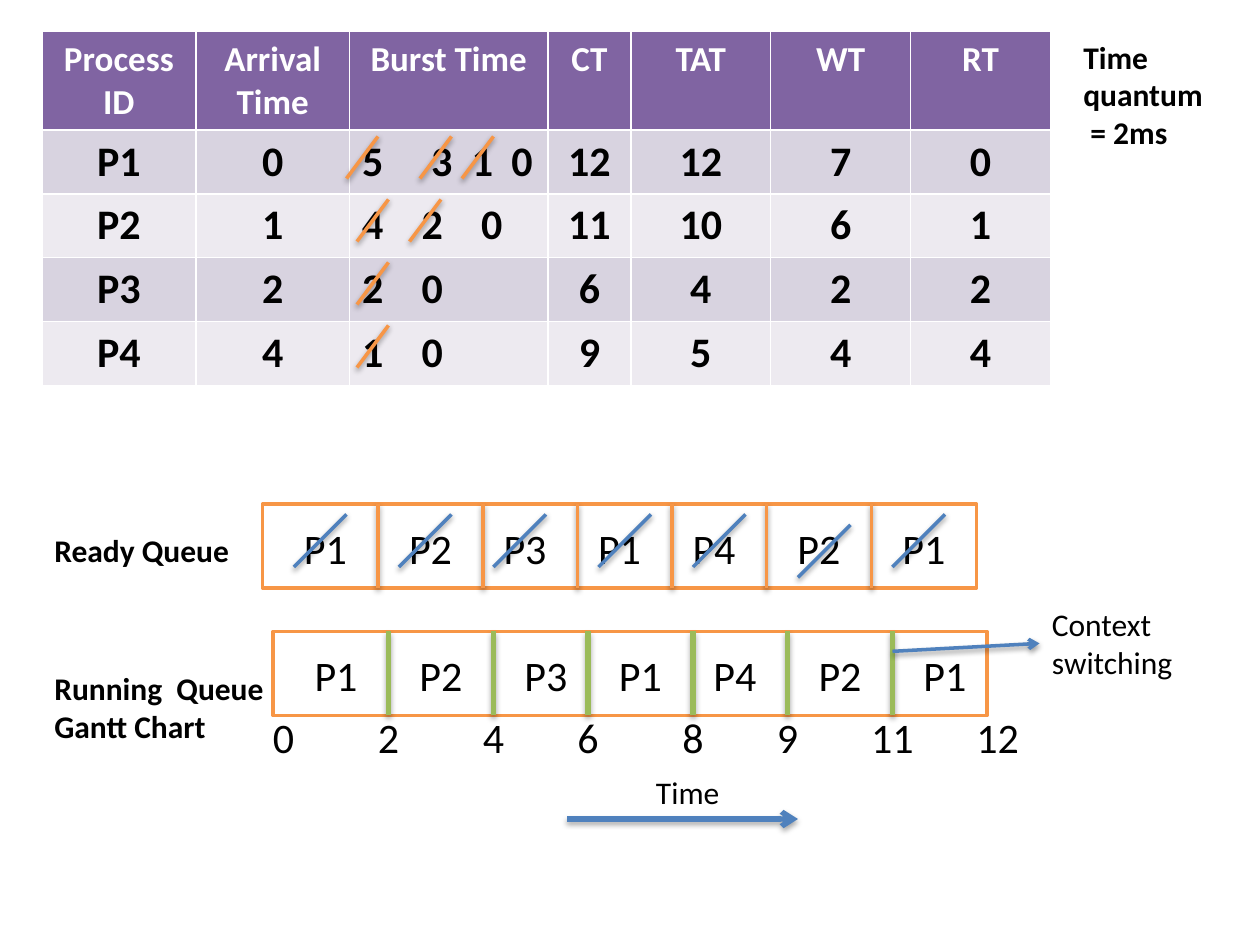
import pptx
import pptx.dml.color
import pptx.enum.dml
import pptx.enum.shapes
import pptx.enum.text
import pptx.oxml
import pptx.oxml.ns
import pptx.util
from lxml import etree

Cm, Pt = pptx.util.Cm, pptx.util.Pt
RGBColor = pptx.dml.color.RGBColor
CENTER = pptx.enum.text.PP_ALIGN.CENTER
LEFT = pptx.enum.text.PP_ALIGN.LEFT

WHITE = RGBColor(0xFF, 0xFF, 0xFF)
BLACK = RGBColor(0, 0, 0)
PURPLE = RGBColor(0x80, 0x64, 0xA2)
BANDS = (RGBColor(0xD8, 0xD3, 0xE0), RGBColor(0xED, 0xEA, 0xF0))
ORANGE = RGBColor(0xF7, 0x96, 0x46)
GREEN = RGBColor(0x9B, 0xBB, 0x59)
BLUE = RGBColor(0x4F, 0x81, 0xBD)
FONT = "Calibri"

HEADERS = ["Process ID", "Arrival Time", "Burst Time", "CT", "TAT", "WT", "RT"]
PROCESSES = [
    ["P1", "0", "5\t3\t1\t0", "12", "12", "7", "0"],
    ["P2", "1", "4\t2\t0", "11", "10", "6", "1"],
    ["P3", "2", "2\t0", "6", "4", "2", "2"],
    ["P4", "4", "1\t0", "9", "5", "4", "4"],
]
COL_WIDTHS = [3.1, 3.1, 4, 1.67, 2.82, 2.82, 2.82]
BURST_COL = 2
BURST_TABS = [(1.39, 2.21, 3.01), (1.2, 2.4), (1.2,), (1.2,)]
BURST_STRIKES = [(29, 36, 40), (30, 35), (30,), (30,)]

# Queue positions count grid steps from the left edge of the queue
QUEUE = ["P1", "P2", "P3", "P1", "P4", "P2", "P1"]
QUEUE_W, QUEUE_H = 68, 8
READY_DIVIDERS = [11, 21, 30, 39, 48, 58]
READY_LABELS = [2, 12, 21, 30, 39, 49, 59]
READY_STRIKES = [(3, 1), (13, 1), (22, 1), (32, 1), (41, 1), (51, 2), (60, 1)]
RUN_DIVIDERS = [11, 21, 30, 40, 49, 59]
RUN_LABELS = [2, 12, 22, 31, 40, 50, 60]
TIMES = ["0", "2", "4", "6", "8", "9", "11", "12"]


def grid(n):
    """Length of n steps of the slide grid, twelve steps to 2.54 cm."""
    return Cm(n * 2.54 / 12)


def add_run(p, text, size, bold=False, color=BLACK):
    r = p.add_run()
    r.text = text
    r.font.name, r.font.size, r.font.bold = FONT, Pt(size), bold
    r.font.color.rgb = color


def add_text(s, x, y, w, h, lines, size=18, bold=False, align=LEFT):
    sp = s.shapes.add_textbox(x, y, w, h)
    tf = sp.text_frame
    tf.word_wrap = True
    for i, line in enumerate(lines):
        p = tf.add_paragraph() if i else tf.paragraphs[0]
        p.alignment = align
        add_run(p, line, size, bold)
    return sp


def add_line(s, x1, y1, x2, y2, color, width=2, arrow=False):
    line = s.shapes.add_connector(
        pptx.enum.shapes.MSO_CONNECTOR.STRAIGHT, x1, y1, x2, y2)
    line.line.color.rgb = color
    line.line.width = Pt(width)
    if width > 2:  # thick lines take the theme's second shadow
        line._element.find(".//" + pptx.oxml.ns.qn("a:effectRef")).set("idx", "2")
    if arrow:
        ln = line.line._get_or_add_ln()
        etree.SubElement(ln, pptx.oxml.ns.qn("a:tailEnd"), type="arrow")
    return line


def add_tabs(p, stops):
    tabs = etree.SubElement(p._p.get_or_add_pPr(), pptx.oxml.ns.qn("a:tabLst"))
    for stop in stops:
        etree.SubElement(tabs, pptx.oxml.ns.qn("a:tab"), pos=str(Cm(stop)), algn="l")


def process_table(s, x, y, w, h):
    rows = [HEADERS] + PROCESSES
    table = s.shapes.add_table(len(rows), len(HEADERS), x, y, w, h).table
    for col, width in zip(table.columns, COL_WIDTHS):
        col.width = Cm(width)
    for i, row in enumerate(rows):
        table.rows[i].height = Cm(1.28 if i else 1.95)
        for j, text in enumerate(row):
            cell = table.cell(i, j)
            cell.fill.solid()
            cell.fill.fore_color.rgb = BANDS[(i - 1) % 2] if i else PURPLE
            p = cell.text_frame.paragraphs[0]
            is_burst = i > 0 and j == BURST_COL
            if is_burst:
                add_tabs(p, BURST_TABS[i - 1])
            p.alignment = LEFT if is_burst else CENTER
            add_run(p, text, 24 if i else 20, True, BLACK if i else WHITE)

    # Used-up burst times are struck out
    for i, strikes in enumerate(BURST_STRIKES):
        top = y + grid(10 + 6 * i)
        for left in strikes:
            add_line(s, x + grid(left + 3), top, x + grid(left), top + grid(4), ORANGE)


def queue_box(s, x, y, dividers, labels, color, width):
    w, h = grid(QUEUE_W), grid(QUEUE_H)
    sp = s.shapes.add_shape(pptx.enum.shapes.MSO_SHAPE.RECTANGLE, x, y, w, h)
    sp.shadow.inherit = False
    sp.fill.solid()
    sp.fill.fore_color.rgb = WHITE
    sp.line.color.rgb = ORANGE
    sp.line.width = Pt(2)
    for step in dividers:
        add_line(s, x + grid(step), y, x + grid(step), y + h, color, width)
    for name, step in zip(QUEUE, labels):
        add_text(s, x + grid(step), y + Cm(0.24), grid(8), Cm(1.28), [name], 24,
                 align=CENTER)


def ready_queue(s, x, y):
    add_text(s, x - grid(21), y + grid(2), grid(23), Cm(1.03), ["Ready Queue"], bold=True)
    queue_box(s, x, y, READY_DIVIDERS, READY_LABELS, ORANGE, 2)
    for left, top in READY_STRIKES:
        add_line(s, x + grid(left + 5), y + grid(top),
                 x + grid(left), y + grid(top + 5), BLUE)


def running_queue(s, x, y):
    add_text(s, x - grid(22), y + grid(3), grid(23), Cm(1.8),
             ["Running  Queue Gantt Chart"], bold=True)
    queue_box(s, x, y, RUN_DIVIDERS, RUN_LABELS, GREEN, 3)

    # Time marks centred under the dividers
    for time, step in zip(TIMES, [1, *RUN_DIVIDERS, 69]):
        add_text(s, x + grid(step - 4), y + Cm(1.49), grid(8), Cm(1.28), [time], 24,
                 align=CENTER)

    # Context switching note
    note = add_text(s, x + grid(73), y - Cm(0.66), grid(17), Cm(1.8),
                    ["Context switching"])
    arrow = add_line(s, x + grid(59), y + Cm(0.4), x + grid(73), y + Cm(0.24),
                     BLUE, arrow=True)
    arrow.end_connect(note, 1)

    # Time axis
    add_text(s, x + grid(31), y + Cm(2.72), grid(17), Cm(1.03), ["Time"], align=CENTER)
    axis_y = y + Cm(3.78)
    add_line(s, x + grid(28), axis_y, x + grid(50), axis_y, BLUE, 3, arrow=True)


def main():
    prs = pptx.Presentation()
    prs.slide_width, prs.slide_height = Cm(25.4), Cm(19.05)
    s = prs.slides.add_slide(prs.slide_layouts[6])
    process_table(s, grid(4), grid(3), Cm(20.33), Cm(7.07))
    add_text(s, grid(102), grid(3), grid(18), Cm(2.57), ["Time  quantum", " = 2ms"],
             bold=True)
    ready_queue(s, grid(25), grid(48))
    running_queue(s, grid(26), Cm(12.73))
    prs.save("out.pptx")


if __name__ == "__main__":
    main()
